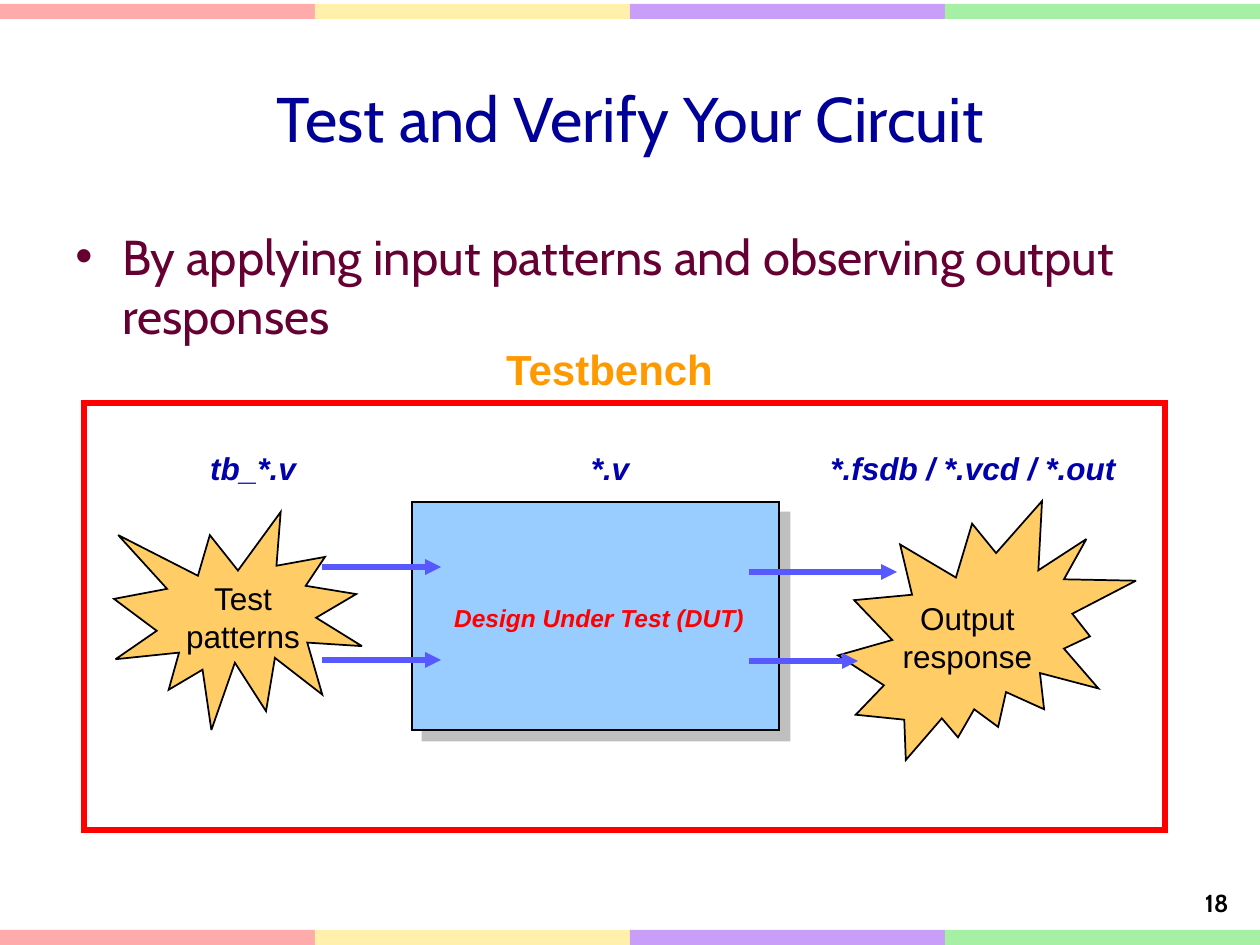
from dataclasses import dataclass

import pptx
import pptx.dml.color
import pptx.enum.shapes
import pptx.enum.text
import pptx.oxml
import pptx.oxml.ns
import pptx.util
from pptx.shapes.autoshape import Shape
from pptx.slide import Slide
from pptx.text.text import _Paragraph

EMU_PER_PX = 914400 / 126
PAGE_WIDTH, PAGE_HEIGHT = 1260, 945
BAND_HEIGHT = 15
NAMESPACE = pptx.oxml.ns.nsdecls("a")

COLOURS = {
    "title": "000099", "body": "660033", "black": "000000",
    "seal": "FFCC66", "design": "99CCFF", "red": "FF0000",
    "arrow": "5858FF", "testbench": "FF9900", "file": "0000AD",
    "pink": "FFABAB", "yellow": "FFF1AB", "violet": "C99EF8", "green": "A6F0A6",
}
BAND_COLOURS = ("pink", "yellow", "violet", "green")

KINDS = pptx.enum.shapes.MSO_SHAPE
ALIGN = pptx.enum.text.PP_ALIGN
ANCHOR = pptx.enum.text.MSO_ANCHOR


@dataclass(frozen=True)
class Area:
    left: int
    top: int
    width: int
    height: int


@dataclass(frozen=True)
class Block:
    area: Area
    kind: KINDS
    fill: str | None
    line: str | None = "black"
    line_points: int = 1
    shadow: bool = False


@dataclass(frozen=True)
class Label:
    area: Area
    text: str
    size: int
    colour: str
    bold: bool = False
    italic: bool = False
    font: str = "Arial"
    align: ALIGN = ALIGN.CENTER
    anchor: ANCHOR = ANCHOR.TOP
    bullet: bool = False


@dataclass(frozen=True)
class Arrow:
    start: int
    end: int
    y: int


SEALS = (
    Block(Area(838, 501, 298, 259), KINDS.EXPLOSION2, "seal"),
    Block(Area(114, 512, 248, 218), KINDS.EXPLOSION1, "seal"),
)
DESIGN = Block(Area(412, 502, 367, 228), KINDS.RECTANGLE, "design", shadow=True)
FRAME = Block(Area(84, 403, 1081, 427), KINDS.RECTANGLE, None, "red", 3)

HEADINGS = (
    Label(Area(63, 38, 1134, 158), "Test and Verify Your Circuit", 36, "title",
          font="Cabin", anchor=ANCHOR.MIDDLE),
    Label(Area(63, 220, 1123, 624),
          "By applying input patterns and observing output responses", 28, "body",
          font="Cabin", align=ALIGN.LEFT, bullet=True),
    Label(Area(1173, 882, 68, 42), "18", 14, "black", True,
          font="Cabin", align=ALIGN.RIGHT),
)
LABELS = (
    Label(Area(168, 573, 150, 88), "Test patterns", 18, "black"),
    Label(Area(389, 597, 420, 43), "Design Under Test (DUT)", 14, "red", True, True),
    Label(Area(885, 593, 165, 88), "Output\nresponse", 18, "black"),
    Label(Area(456, 337, 307, 63), "Testbench", 24, "testbench", True),
    Label(Area(144, 443, 218, 51), "tb_*.v", 18, "file", True, True),
    Label(Area(809, 443, 328, 51), "*.fsdb / *.vcd / *.out", 18, "file", True, True),
    Label(Area(501, 443, 218, 51), "*.v", 18, "file", True, True),
)
ARROWS = (
    Arrow(322, 441, 567), Arrow(322, 441, 660),
    Arrow(749, 897, 572), Arrow(749, 858, 661),
)


def px(length: int) -> pptx.util.Emu:
    return pptx.util.Emu(round(length * EMU_PER_PX))


def place(area: Area) -> tuple[pptx.util.Emu, ...]:
    return px(area.left), px(area.top), px(area.width), px(area.height)


def colour(name: str) -> pptx.dml.color.RGBColor:
    return pptx.dml.color.RGBColor.from_string(COLOURS[name])


def add_shadow(shape: Shape) -> None:
    """Replace the empty effect list with a hard grey shadow to the lower right."""
    properties = shape._element.spPr
    properties.remove(properties.find(pptx.oxml.ns.qn("a:effectLst")))
    properties.append(pptx.oxml.parse_xml(
        f'<a:effectLst {NAMESPACE}>'
        f'<a:outerShdw dist="{pptx.util.Pt(8.5)}" dir="2700000" algn="ctr" rotWithShape="0">'
        '<a:srgbClr val="808080"><a:alpha val="50000"/></a:srgbClr>'
        '</a:outerShdw></a:effectLst>'))


def draw_block(page: Slide, block: Block) -> None:
    shape = page.shapes.add_shape(block.kind, *place(block.area))
    shape.shadow.inherit = False
    if block.fill:
        shape.fill.solid()
        shape.fill.fore_color.rgb = colour(block.fill)
    else:
        shape.fill.background()
    if block.line:
        shape.line.color.rgb = colour(block.line)
        shape.line.width = pptx.util.Pt(block.line_points)
        shape.line._get_or_add_ln().append(
            pptx.oxml.parse_xml(f'<a:miter {NAMESPACE} lim="800000"/>'))
    else:
        shape.line.fill.background()
    if block.shadow:
        add_shadow(shape)


def add_bullet(para: _Paragraph) -> None:
    properties = para._p.get_or_add_pPr()
    properties.set("marL", str(px(47)))
    properties.set("indent", str(-px(47)))
    properties.append(pptx.oxml.parse_xml(f'<a:buFont {NAMESPACE} typeface="Arial"/>'))
    properties.append(pptx.oxml.parse_xml(f'<a:buChar {NAMESPACE} char="•"/>'))


def draw_label(page: Slide, label: Label) -> None:
    box = page.shapes.add_textbox(*place(label.area))
    box.text_frame.word_wrap = True
    box.text_frame.vertical_anchor = label.anchor
    para = box.text_frame.paragraphs[0]
    para.alignment = label.align
    if label.bullet:
        add_bullet(para)
    for number, line in enumerate(label.text.split("\n")):
        if number:
            para.add_line_break()
        span = para.add_run()
        span.text = line
        span.font.name = label.font
        span.font.size = pptx.util.Pt(label.size)
        span.font.bold = label.bold
        span.font.italic = label.italic
        span.font.color.rgb = colour(label.colour)


def draw_arrow(page: Slide, arrow: Arrow) -> None:
    connector = page.shapes.add_connector(
        pptx.enum.shapes.MSO_CONNECTOR.STRAIGHT,
        px(arrow.start), px(arrow.y), px(arrow.end), px(arrow.y))
    connector.line.color.rgb = colour("arrow")
    connector.line.width = pptx.util.Pt(3)
    connector.line._get_or_add_ln().append(
        pptx.oxml.parse_xml(f'<a:tailEnd {NAMESPACE} type="triangle"/>'))
    connector._element.spPr.append(pptx.oxml.parse_xml(f'<a:effectLst {NAMESPACE}/>'))


def draw_band(page: Slide, top: int) -> None:
    width = PAGE_WIDTH // len(BAND_COLOURS)
    for column, name in enumerate(BAND_COLOURS):
        area = Area(column * width, top, width, BAND_HEIGHT)
        draw_block(page, Block(area, KINDS.RECTANGLE, name, line=None))


def main() -> None:
    deck = pptx.Presentation()
    deck.slide_width, deck.slide_height = px(PAGE_WIDTH), px(PAGE_HEIGHT)
    page = deck.slides.add_slide(deck.slide_layouts[6])
    for top in (4, PAGE_HEIGHT - BAND_HEIGHT):
        draw_band(page, top)
    for seal in SEALS:
        draw_block(page, seal)
    for heading in HEADINGS:
        draw_label(page, heading)
    for block in (DESIGN, FRAME):
        draw_block(page, block)
    for label in LABELS:
        draw_label(page, label)
    for arrow in ARROWS:
        draw_arrow(page, arrow)
    deck.save("out.pptx")


if __name__ == "__main__":
    main()
